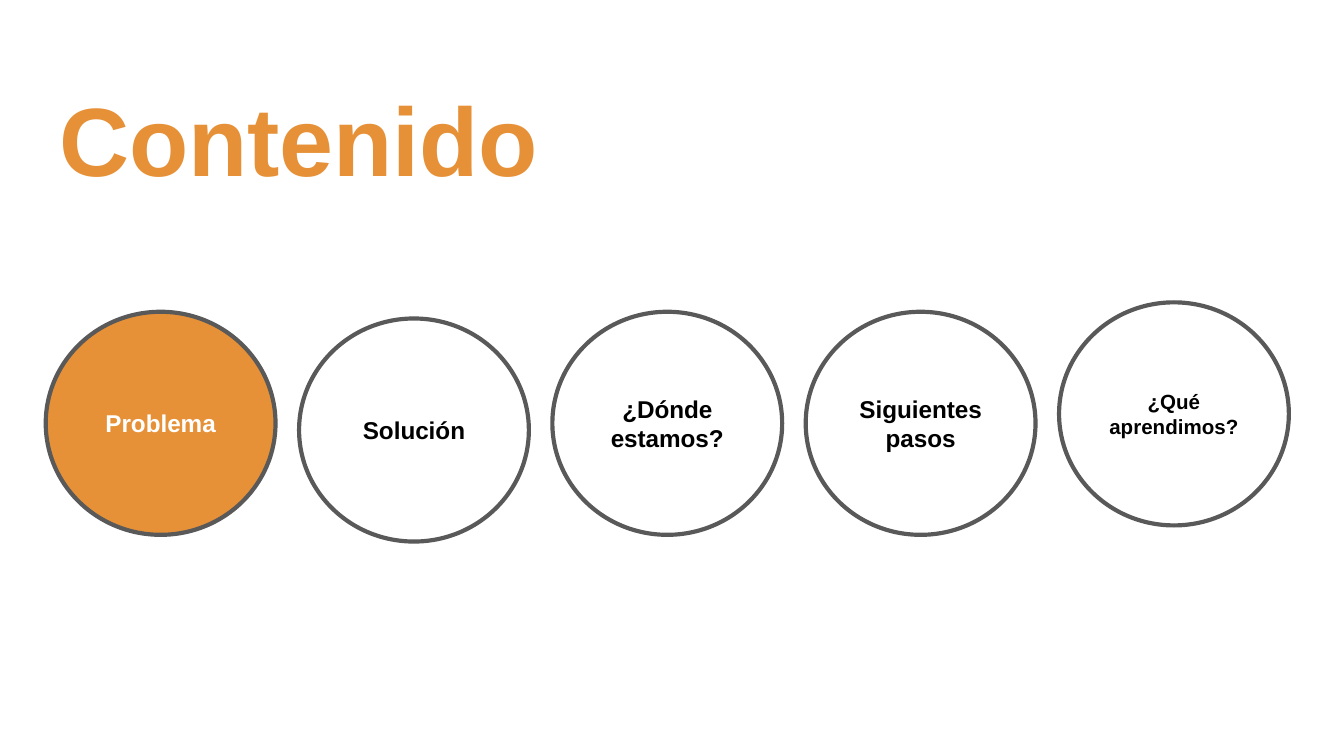
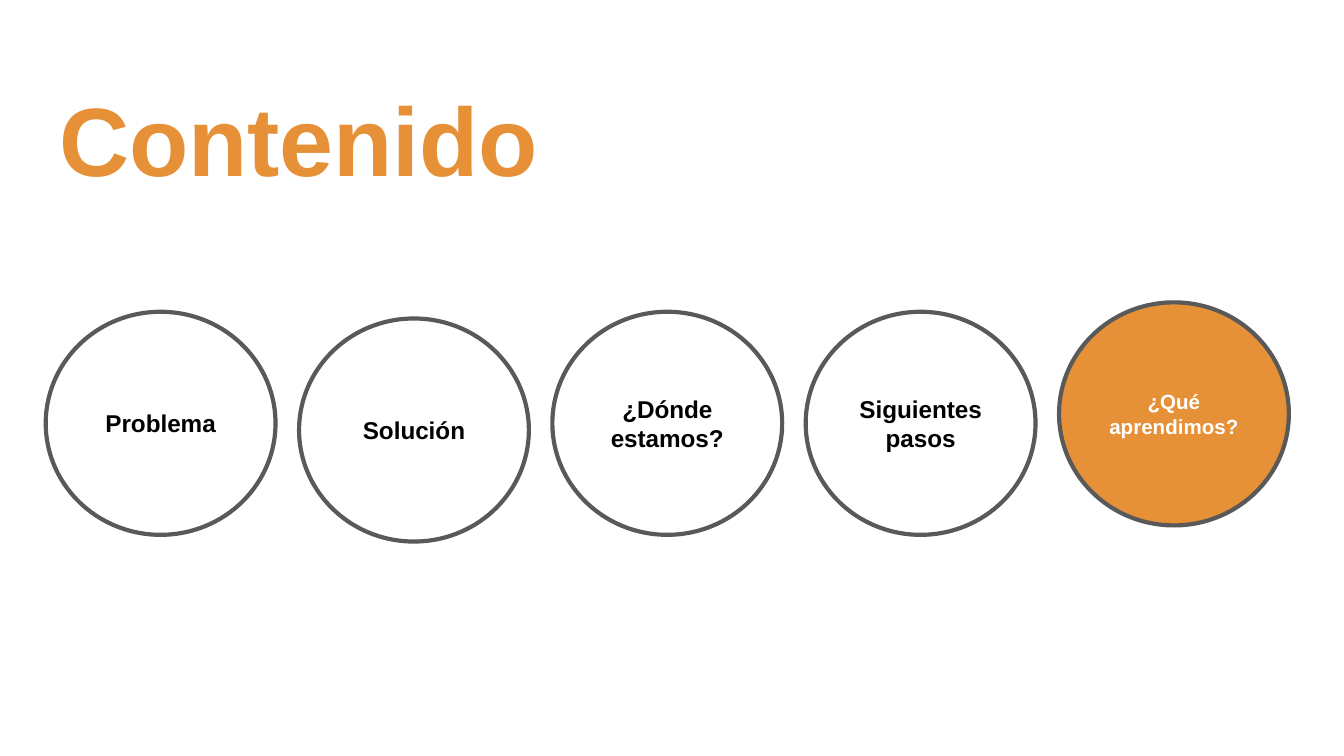
from dataclasses import dataclass

from pptx import Presentation
from pptx.dml.color import RGBColor
from pptx.enum import shapes, text
from pptx.slide import Slide
from pptx.util import Inches, Pt


@dataclass(frozen=True)
class Theme:
    font: str = "Arial"
    accent: RGBColor = RGBColor(0xE6, 0x91, 0x38)
    outline: RGBColor = RGBColor(0x59, 0x59, 0x59)
    white: RGBColor = RGBColor(0xFF, 0xFF, 0xFF)
    black: RGBColor = RGBColor(0x00, 0x00, 0x00)
    title_size: float = 52
    topic_size: float = 13
    small_size: float = 11
    outline_width: float = 2.25


THEME = Theme()
SLIDE_WIDTH = 10
SLIDE_HEIGHT = SLIDE_WIDTH * 9 / 16
LEFT = 0.34
LAST_LEFT = 7.88
CIRCLE_WIDTH, CIRCLE_HEIGHT = 1.71, 1.66


@dataclass(frozen=True)
class Topic:
    label: str
    top: float = 2.32
    size: float = THEME.topic_size


TOPICS = [
    Topic("Problema"),
    Topic("Solución", top=2.37),
    Topic("¿Dónde estamos?"),
    Topic("Siguientes pasos"),
    Topic("¿Qué aprendimos?", top=2.25, size=THEME.small_size),
]
STEP = (LAST_LEFT - LEFT) / (len(TOPICS) - 1)


def write(sp, label: str, size: float, color: RGBColor, align, anchor) -> None:
    tf = sp.text_frame
    tf.text = label
    tf.word_wrap = True
    tf.auto_size = text.MSO_AUTO_SIZE.NONE
    tf.vertical_anchor = anchor
    tf.margin_left = tf.margin_right = Inches(0.1)
    tf.margin_top = tf.margin_bottom = Inches(0.1)
    p = tf.paragraphs[0]
    p.alignment = align
    p.font.name = THEME.font
    p.font.size = Pt(size)
    p.font.bold = True
    p.font.color.rgb = color


def add_title(s: Slide, label: str) -> None:
    sp = s.shapes.title
    sp.left, sp.top = Inches(LEFT), Inches(0.49)
    sp.width, sp.height = Inches(9.32), Inches(0.63)
    write(sp, label, THEME.title_size, THEME.accent,
          text.PP_ALIGN.LEFT, text.MSO_ANCHOR.TOP)


def add_topic(s: Slide, index: int, topic: Topic, active: bool) -> None:
    sp = s.shapes.add_shape(
        shapes.MSO_SHAPE.OVAL, Inches(LEFT + index * STEP), Inches(topic.top),
        Inches(CIRCLE_WIDTH), Inches(CIRCLE_HEIGHT))
    sp.shadow.inherit = False
    sp.fill.solid()
    sp.fill.fore_color.rgb = THEME.accent if active else THEME.white
    sp.line.color.rgb = THEME.outline
    sp.line.width = Pt(THEME.outline_width)
    write(sp, topic.label, topic.size, THEME.white if active else THEME.black,
          text.PP_ALIGN.CENTER, text.MSO_ANCHOR.MIDDLE)


def add_agenda(prs, current: int) -> None:
    s = prs.slides.add_slide(prs.slide_layouts[5])
    add_title(s, "Contenido")
    for index, topic in enumerate(TOPICS):
        add_topic(s, index, topic, index == current)


def main() -> None:
    prs = Presentation()
    prs.slide_width, prs.slide_height = Inches(SLIDE_WIDTH), Inches(SLIDE_HEIGHT)
    for current in (0, len(TOPICS) - 1):
        add_agenda(prs, current)
    prs.save("out.pptx")


if __name__ == "__main__":
    main()
